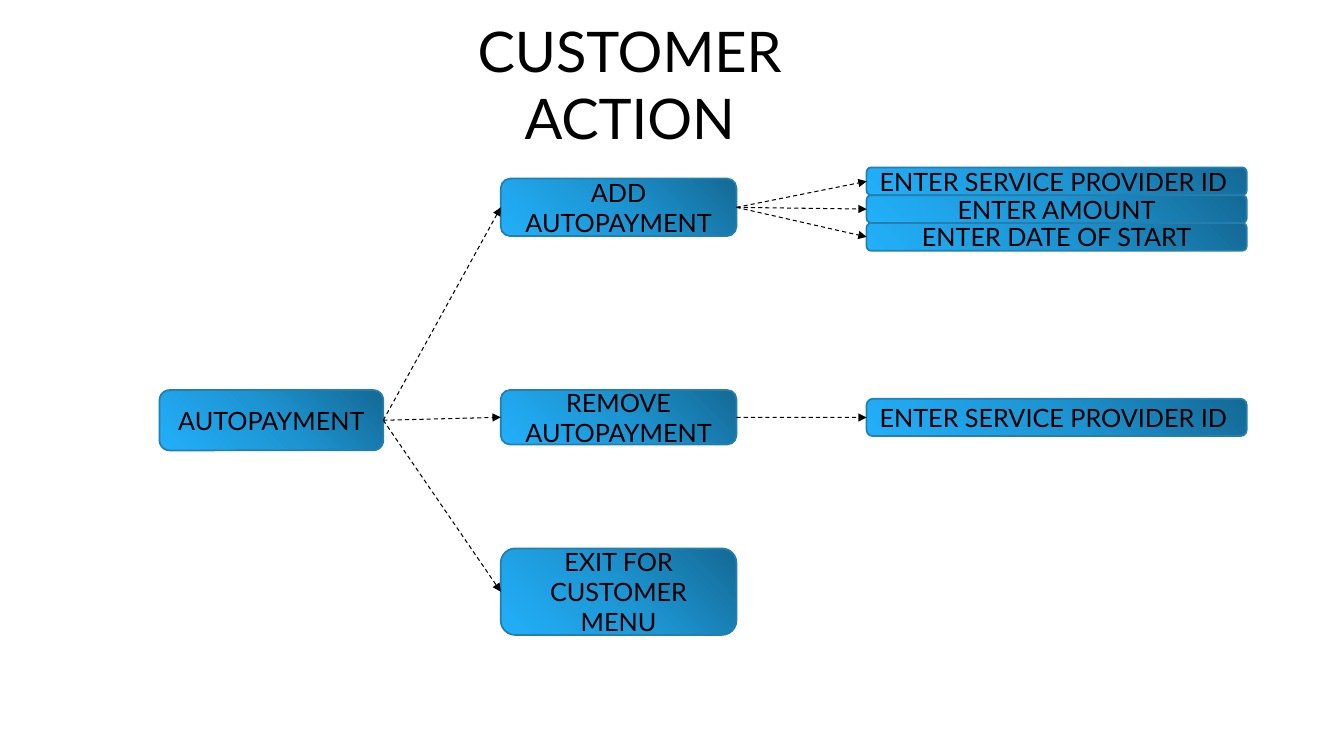
from copy import deepcopy

from lxml.etree import SubElement
from pptx import Presentation
from pptx.dml.color import RGBColor
from pptx.enum.dml import MSO_LINE
from pptx.enum.shapes import MSO_CONNECTOR, MSO_SHAPE
from pptx.enum.text import MSO_ANCHOR, PP_ALIGN
from pptx.oxml.ns import qn
from pptx.util import Cm, Pt

LEFT, RIGHT = 1, 3  # connection sites of a rounded rectangle


def paint(color, code):
    color.rgb = RGBColor.from_string(code)


def write(frame, text, size=18, font="Lato", color="000000", anchor=MSO_ANCHOR.MIDDLE):
    frame.word_wrap = True
    frame.vertical_anchor = anchor
    para = frame.paragraphs[0]
    para.alignment = PP_ALIGN.CENTER
    run = para.add_run()
    run.text = text
    run.font.size = Pt(size)
    run.font.name = font
    paint(run.font.color, color)


class Chart:
    """Flow chart style and the slide it is drawn on."""

    shades = ("146994", "1D95D3", "22B0FA")
    edge = "247FAF"
    ink = "000000"

    def __init__(self, slide):
        self.shapes = slide.shapes

    def blend(self, shape):
        """Fill the shape with the shades, dark at the top right."""
        shape.fill.gradient()
        shape.fill.gradient_angle = 225
        first = shape._element.spPr.find(".//" + qn("a:gs"))
        first.addnext(deepcopy(first))
        for i, (stop, shade) in enumerate(zip(shape.fill.gradient_stops, self.shades)):
            stop.position = i / 2
            paint(stop.color, shade)

    def box(self, text, x, y, w, h):
        shape = self.shapes.add_shape(
            MSO_SHAPE.ROUNDED_RECTANGLE, Cm(x), Cm(y), Cm(w), Cm(h))
        shape.shadow.inherit = False
        self.blend(shape)
        paint(shape.line.color, self.edge)
        shape.line.width = Pt(1.25)
        write(shape.text_frame, text)
        return shape

    def arrow(self, start, end):
        link = self.shapes.add_connector(MSO_CONNECTOR.STRAIGHT, 0, 0, 0, 0)
        link.begin_connect(start, RIGHT)
        link.end_connect(end, LEFT)
        paint(link.line.color, self.ink)
        link.line.width = Pt(0.75)
        link.line.dash_style = MSO_LINE.DASH
        SubElement(link.line._get_or_add_ln(), qn("a:tailEnd"), type="triangle")
        SubElement(link._element.spPr, qn("a:effectLst"))

    def title(self, text, x, y, w, h):
        area = self.shapes.add_textbox(Cm(x), Cm(y), Cm(w), Cm(h))
        write(area.text_frame, text, size=40, anchor=MSO_ANCHOR.TOP)


# Each action: text, top, height, then its inputs' first top, height and texts
ACTIONS = [
    ("ADD AUTOPAYMENT", 4.5, 1.45, 4.22, 0.7,
     ["ENTER SERVICE PROVIDER ID ", "ENTER AMOUNT", "ENTER DATE OF START"]),
    ("REMOVE AUTOPAYMENT", 9.83, 1.37, 10.05, 0.94, ["ENTER SERVICE PROVIDER ID "]),
    ("EXIT FOR CUSTOMER MENU", 13.82, 2.18, 0, 0, []),
]


def main():
    deck = Presentation()
    deck.slide_width, deck.slide_height = Cm(33.87), Cm(19.05)
    chart = Chart(deck.slides.add_slide(deck.slide_layouts[6]))

    root = chart.box("AUTOPAYMENT", 4.02, 9.83, 5.64, 1.52)
    for text, top, high, first, step, inputs in ACTIONS:
        action = chart.box(text, 12.62, top, 5.94, high)
        chart.arrow(root, action)
        for i, entry in enumerate(inputs):
            field = chart.box(entry, 21.84, first + i * step, 9.58, step)
            chart.arrow(action, field)
    chart.title("CUSTOMER ACTION", 9.9, 0.28, 11.94, 1.96)

    deck.save("out.pptx")


if __name__ == "__main__":
    main()
